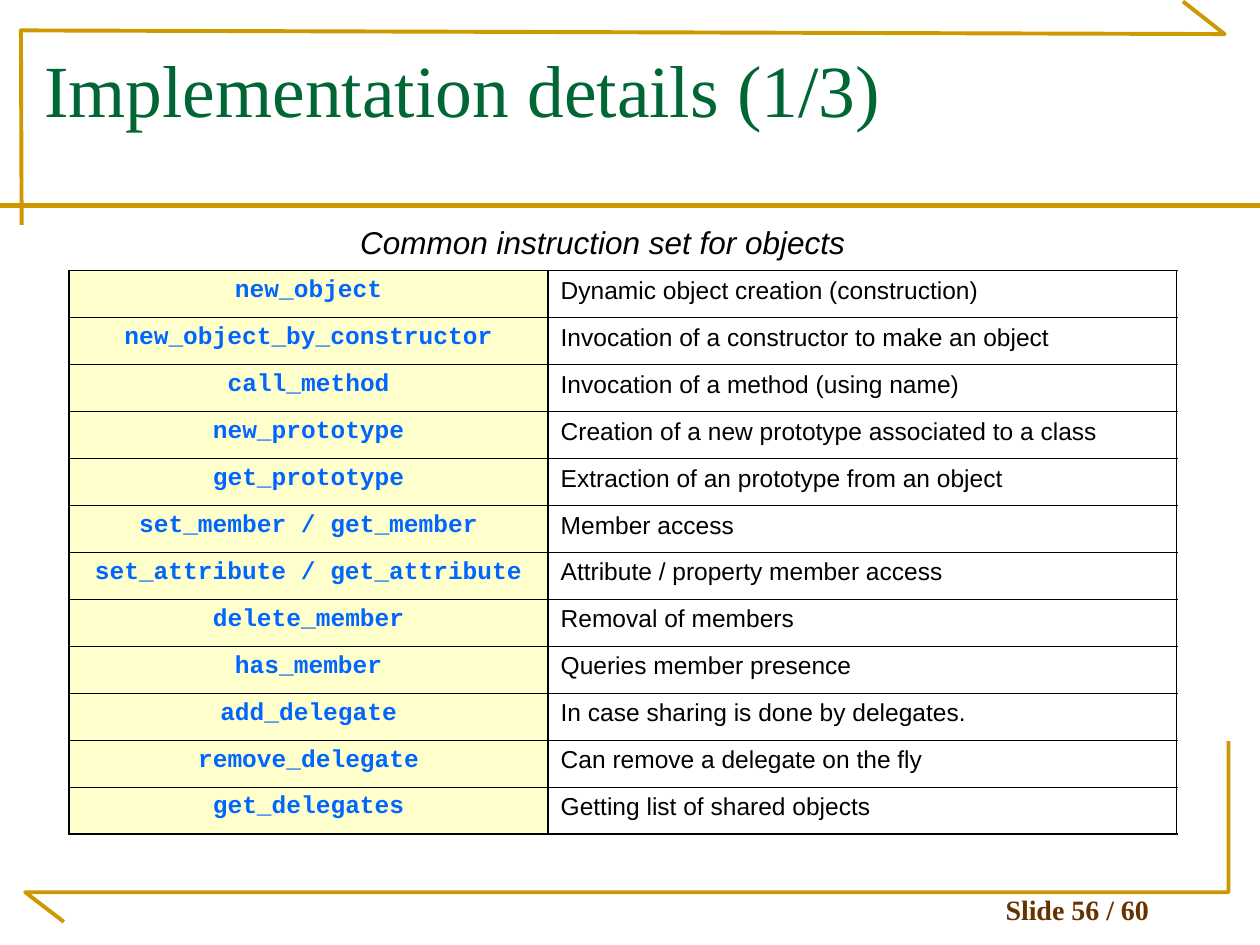
from dataclasses import dataclass

from lxml.etree import SubElement
from pptx import Presentation
from pptx.dml.color import RGBColor
from pptx.enum.shapes import MSO_CONNECTOR
from pptx.enum.text import MSO_ANCHOR, MSO_AUTO_SIZE, PP_ALIGN
from pptx.oxml.ns import qn
from pptx.util import Pt

TITLE = "Implementation details (1/3)"
CAPTION = "Common instruction set for objects"
SLIDE_NUMBER = "Slide 56 / 60"
INSTRUCTIONS = [
    ("new_object", "Dynamic object creation (construction)"),
    ("new_object_by_constructor", "Invocation of a constructor to make an object"),
    ("call_method", "Invocation of a method (using name)"),
    ("new_prototype", "Creation of a new prototype associated to a class"),
    ("get_prototype", "Extraction of an prototype from an object"),
    ("set_member / get_member", "Member access"),
    ("set_attribute / get_attribute", "Attribute / property member access"),
    ("delete_member", "Removal of members"),
    ("has_member", "Queries member presence"),
    ("add_delegate", "In case sharing is done by delegates."),
    ("remove_delegate", "Can remove a delegate on the fly"),
    ("get_delegates", "Getting list of shared objects"),
]
FRAME_OUTLINES = [
    [(12.4, 128.5), (12, 17.4), (699.8, 19.5), (676, 0.8)],
    [(36.5, 526.8), (14.4, 509.9), (702, 509.9), (702, 423.5)],
]
RULE_Y = 117.6
WIDTH, HEIGHT = 720, 540
TABLE_LEFT, TABLE_TOP, ROW_HEIGHT = 39.6, 154.6, 26.85
COLUMN_WIDTHS = (273.6, 359.2)


@dataclass(frozen=True)
class Theme:
    gold: str = "CC9900"
    green: str = "006633"
    brown: str = "663300"
    blue: str = "0066FF"
    cream: str = "FFFFCC"
    black: str = "000000"
    serif: str = "Times New Roman"
    sans: str = "Arial"
    mono: str = "Courier New"
    title_size: float = 42
    caption_size: float = 18
    number_size: float = 16
    cell_size: float = 14
    frame_line: float = 2.25
    rule_line: float = 3
    outer_border: float = 1.08
    inner_border: float = 0.45


THEME = Theme()


def write(frame, text, font_name, size, color, align=PP_ALIGN.LEFT, bold=False, italic=False):
    frame.text = text
    paragraph = frame.paragraphs[0]
    paragraph.alignment = align
    font = paragraph.runs[0].font
    font.name, font.size, font.bold, font.italic = font_name, Pt(size), bold, italic
    font.color.rgb = RGBColor.from_string(color)
    return paragraph


def set_line(line, width):
    line.color.rgb = RGBColor.from_string(THEME.gold)
    line.width = Pt(width)


def draw_frame(slide):
    for outline in FRAME_OUTLINES:
        start, *rest = [(Pt(x), Pt(y)) for x, y in outline]
        builder = slide.shapes.build_freeform(*start)
        builder.add_line_segments(rest, close=False)
        bracket = builder.convert_to_shape()
        bracket.fill.background()
        bracket.shadow.inherit = False
        set_line(bracket.line, THEME.frame_line)
    rule = slide.shapes.add_connector(
        MSO_CONNECTOR.STRAIGHT, 0, Pt(RULE_Y), Pt(WIDTH), Pt(RULE_Y))
    set_line(rule.line, THEME.rule_line)
    SubElement(rule._element.spPr, qn("a:effectLst"))


def set_borders(cell, widths):
    properties = cell._tc.get_or_add_tcPr()
    for index, (side, width) in enumerate(widths.items()):
        border = SubElement(properties, qn(f"a:ln{side}"), w=str(Pt(width)))
        fill = SubElement(border, qn("a:solidFill"))
        SubElement(fill, qn("a:srgbClr"), val=THEME.black)
        properties.insert(index, border)


def add_instruction_table(slide):
    count = len(INSTRUCTIONS)
    table = slide.shapes.add_table(
        count, len(COLUMN_WIDTHS), Pt(TABLE_LEFT), Pt(TABLE_TOP),
        Pt(sum(COLUMN_WIDTHS)), Pt(count * ROW_HEIGHT)).table
    table.first_row = table.horz_banding = False
    for column, width in zip(table.columns, COLUMN_WIDTHS):
        column.width = Pt(width)
    for row_index, (instruction, meaning) in enumerate(INSTRUCTIONS):
        table.rows[row_index].height = Pt(ROW_HEIGHT)
        name_cell, meaning_cell = table.rows[row_index].cells
        name_cell.fill.solid()
        name_cell.fill.fore_color.rgb = RGBColor.from_string(THEME.cream)
        meaning_cell.fill.background()
        paragraphs = [
            write(name_cell.text_frame, instruction, THEME.mono, THEME.cell_size,
                  THEME.blue, PP_ALIGN.CENTER, bold=True),
            write(meaning_cell.text_frame, meaning, THEME.sans, THEME.cell_size, THEME.black),
        ]
        borders = {
            "L": THEME.outer_border,
            "R": THEME.outer_border,
            "T": THEME.outer_border if row_index == 0 else THEME.inner_border,
            "B": THEME.outer_border if row_index == count - 1 else THEME.inner_border,
        }
        for cell, paragraph in zip((name_cell, meaning_cell), paragraphs):
            paragraph.space_before = Pt(3.5)
            set_borders(cell, borders)


def add_text(slide, left, top, width, height):
    return slide.shapes.add_textbox(Pt(left), Pt(top), Pt(width), Pt(height)).text_frame


def main():
    deck = Presentation()
    deck.slide_width, deck.slide_height = Pt(WIDTH), Pt(HEIGHT)
    slide = deck.slides.add_slide(deck.slide_layouts[5])
    draw_frame(slide)

    number = add_text(slide, 530.6, 509, 170, 23.8)
    number.word_wrap = True
    number.vertical_anchor = MSO_ANCHOR.BOTTOM
    write(number, SLIDE_NUMBER, THEME.serif, THEME.number_size, THEME.brown,
          PP_ALIGN.CENTER, bold=True)

    title = slide.shapes.title
    title.left, title.top, title.width, title.height = Pt(18), Pt(21.6), Pt(678), Pt(90)
    title.text_frame.auto_size = MSO_AUTO_SIZE.NONE
    title.text_frame.vertical_anchor = MSO_ANCHOR.TOP
    write(title.text_frame, TITLE, THEME.serif, THEME.title_size, THEME.green)

    add_instruction_table(slide)

    caption = add_text(slide, 198.7, 123.8, 291.6, 28.8)
    caption.word_wrap = False
    caption.auto_size = MSO_AUTO_SIZE.SHAPE_TO_FIT_TEXT
    write(caption, CAPTION, THEME.sans, THEME.caption_size, THEME.black, italic=True)

    deck.save("out.pptx")


if __name__ == "__main__":
    main()
